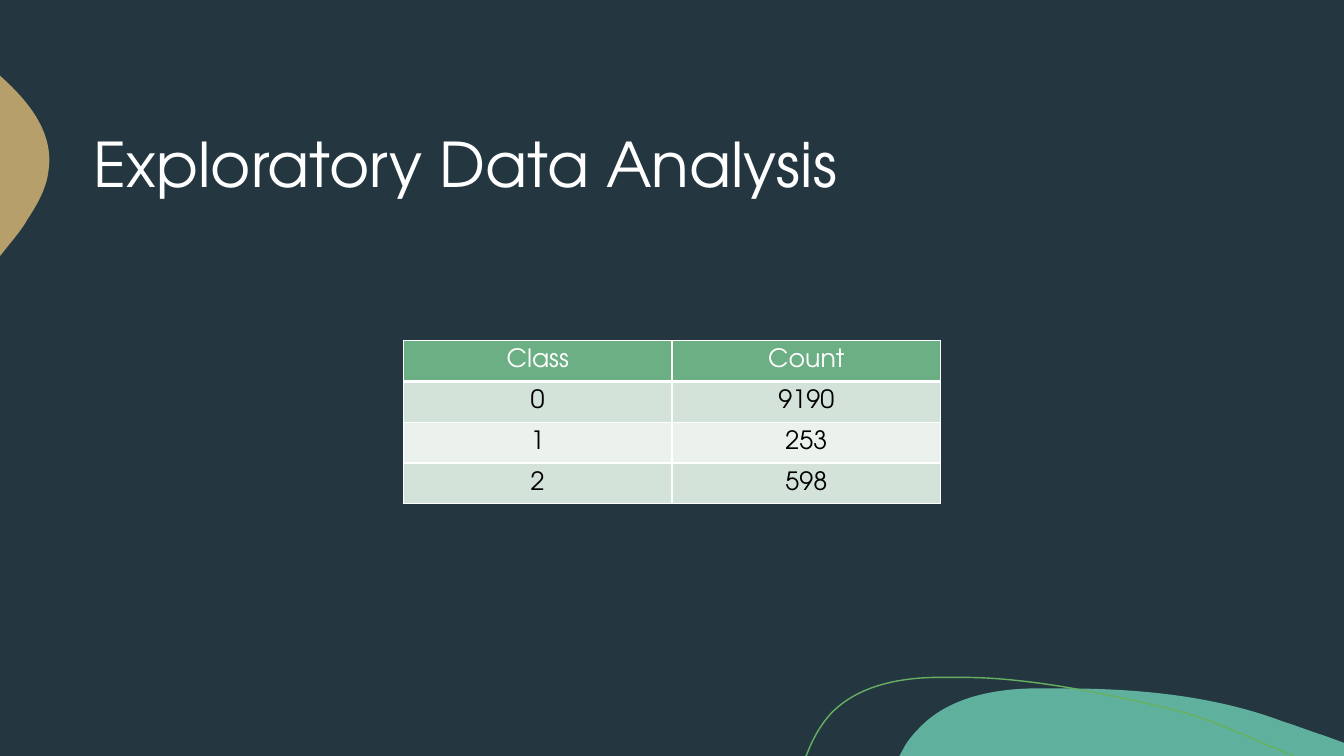
from dataclasses import dataclass
from typing import Optional

import pptx
import pptx.dml.color
import pptx.enum.text
import pptx.oxml
import pptx.oxml.ns
import pptx.util
from pptx.util import Inches

Point = tuple[float, float]
Curve = tuple[Point, ...]  # one point: straight line; three points: cubic curve


@dataclass(frozen=True)
class Theme:
    font: str = "TeX Gyre Adventor"
    title_size: int = 44
    table_size: int = 18
    background: str = "243741"
    light: str = "FFFFFF"
    dark: str = "000000"
    teal: str = "60B09E"
    sand: str = "B69F6A"
    leaf: str = "65B161"
    header: str = "6CAF84"
    bands: tuple[str, str] = ("D4E3D9", "EBF2ED")


@dataclass(frozen=True)
class Blob:
    start: Point
    curves: tuple[Curve, ...]
    fill: Optional[str] = None
    line: Optional[str] = None


THEME = Theme()

BLOBS = (
    Blob((10.54, 6.83), (
        ((11.28, 6.83), (12.04, 6.9), (12.73, 7.16)),
        ((12.86, 7.2), (12.98, 7.25), (13.11, 7.29)),
        ((13.33, 7.37),), ((13.33, 7.5),), ((8.92, 7.5),), ((8.98, 7.39),),
        ((9.02, 7.33), (9.06, 7.28), (9.11, 7.23)),
        ((9.39, 6.93), (9.82, 6.84), (10.23, 6.83)),
        ((10.33, 6.83), (10.43, 6.83), (10.54, 6.83)),
    ), fill=THEME.teal),
    Blob((0, 0.75), (
        ((0.01, 0.76),),
        ((0.3, 1.02), (0.54, 1.33), (0.48, 1.7)),
        ((0.46, 1.87), (0.37, 2.03), (0.27, 2.18)),
        ((0.24, 2.24), (0.17, 2.33), (0.08, 2.44)),
        ((0, 2.54),),
    ), fill=THEME.sand),
    Blob((7.99, 7.5), (
        ((8, 7.49),),
        ((8.06, 7.33), (8.14, 7.19), (8.24, 7.08)),
        ((8.5, 6.81), (8.89, 6.73), (9.26, 6.72)),
        ((9.55, 6.72),),
        ((10.22, 6.72), (11, 6.89), (11.55, 7.02)),
        ((12.09, 7.15), (12.26, 7.27), (12.83, 7.5)),
    ), line=THEME.leaf),
)

CLASS_COUNTS = (("Class", "Count"), ("0", "9190"), ("1", "253"), ("2", "598"))


def rgb(value: str) -> pptx.dml.color.RGBColor:
    return pptx.dml.color.RGBColor.from_string(value)


def add_span(para, text: str, size: int, color: str) -> None:
    span = para.add_run()
    span.text = text
    span.font.name = THEME.font
    span.font.size = pptx.util.Pt(size)
    span.font.color.rgb = rgb(color)


def bend_segments(shape, curves: tuple[Curve, ...]) -> None:
    """Turn the straight segments that stand for cubic curves into curves."""
    segments = list(shape.element.iter(pptx.oxml.ns.qn("a:lnTo")))
    for segment, curve in zip(segments, curves):
        if len(curve) == 1:
            continue
        points = "".join(
            f'<a:pt x="{Inches(x) - shape.left}" y="{Inches(y) - shape.top}"/>'
            for x, y in curve)
        bend = pptx.oxml.parse_xml(
            f'<a:cubicBezTo {pptx.oxml.ns.nsdecls("a")}>{points}</a:cubicBezTo>')
        segment.getparent().replace(segment, bend)


def draw_blob(page, blob: Blob) -> None:
    builder = page.shapes.build_freeform(*map(Inches, blob.start))
    ends = [(Inches(x), Inches(y)) for x, y in (curve[-1] for curve in blob.curves)]
    builder.add_line_segments(ends, close=blob.fill is not None)
    shape = builder.convert_to_shape()
    bend_segments(shape, blob.curves)
    shape.shadow.inherit = False
    if blob.fill:
        shape.fill.solid()
        shape.fill.fore_color.rgb = rgb(blob.fill)
    else:
        shape.fill.background()
    if blob.line:
        shape.line.color.rgb = rgb(blob.line)
        shape.line.width = pptx.util.Pt(1)
    else:
        shape.line.fill.background()


def draw_title(page, text: str) -> None:
    title = page.shapes.title
    title.left, title.top = Inches(0.83), Inches(0.83)
    title.width, title.height = Inches(11.67), Inches(1.67)
    frame = title.text_frame
    frame.word_wrap = True
    frame.auto_size = pptx.enum.text.MSO_AUTO_SIZE.NONE
    frame.vertical_anchor = pptx.enum.text.MSO_ANCHOR.MIDDLE
    para = frame.paragraphs[0]
    para.alignment = pptx.enum.text.PP_ALIGN.LEFT
    para.line_spacing = 0.9
    add_span(para, text, THEME.title_size, THEME.light)


def set_border(cell, side: str, points: int) -> None:
    border = pptx.oxml.parse_xml(
        f'<a:{side} {pptx.oxml.ns.nsdecls("a")} w="{pptx.util.Pt(points)}">'
        f'<a:solidFill><a:srgbClr val="{THEME.light}"/></a:solidFill></a:{side}>')
    cell._tc.get_or_add_tcPr().append(border)


def draw_table(page, rows: tuple[tuple[str, ...], ...]) -> None:
    table = page.shapes.add_table(len(rows), len(rows[0]), Inches(4), Inches(3.38),
                                  Inches(5.33), Inches(1.62)).table
    for row, values in enumerate(rows):
        is_header = row == 0
        fill = THEME.header if is_header else THEME.bands[(row - 1) % 2]
        for column, value in enumerate(values):
            cell = table.cell(row, column)
            # Borders come before the fill in the cell properties
            set_border(cell, "lnL", 1)
            set_border(cell, "lnR", 1)
            set_border(cell, "lnT", 3 if row == 1 else 1)
            set_border(cell, "lnB", 3 if is_header else 1)
            cell.fill.solid()
            cell.fill.fore_color.rgb = rgb(fill)
            cell.vertical_anchor = pptx.enum.text.MSO_ANCHOR.MIDDLE
            para = cell.text_frame.paragraphs[0]
            para.alignment = pptx.enum.text.PP_ALIGN.CENTER
            add_span(para, value, THEME.table_size,
                     THEME.light if is_header else THEME.dark)


def main() -> None:
    deck = pptx.Presentation()
    deck.slide_width, deck.slide_height = Inches(13.33), Inches(7.5)
    page = deck.slides.add_slide(deck.slide_layouts.get_by_name("Title Only"))
    page.background.fill.solid()
    page.background.fill.fore_color.rgb = rgb(THEME.background)

    # Decoration
    for blob in BLOBS:
        draw_blob(page, blob)

    # Content
    draw_title(page, "Exploratory Data Analysis")
    draw_table(page, CLASS_COUNTS)
    deck.save("out.pptx")


if __name__ == "__main__":
    main()
